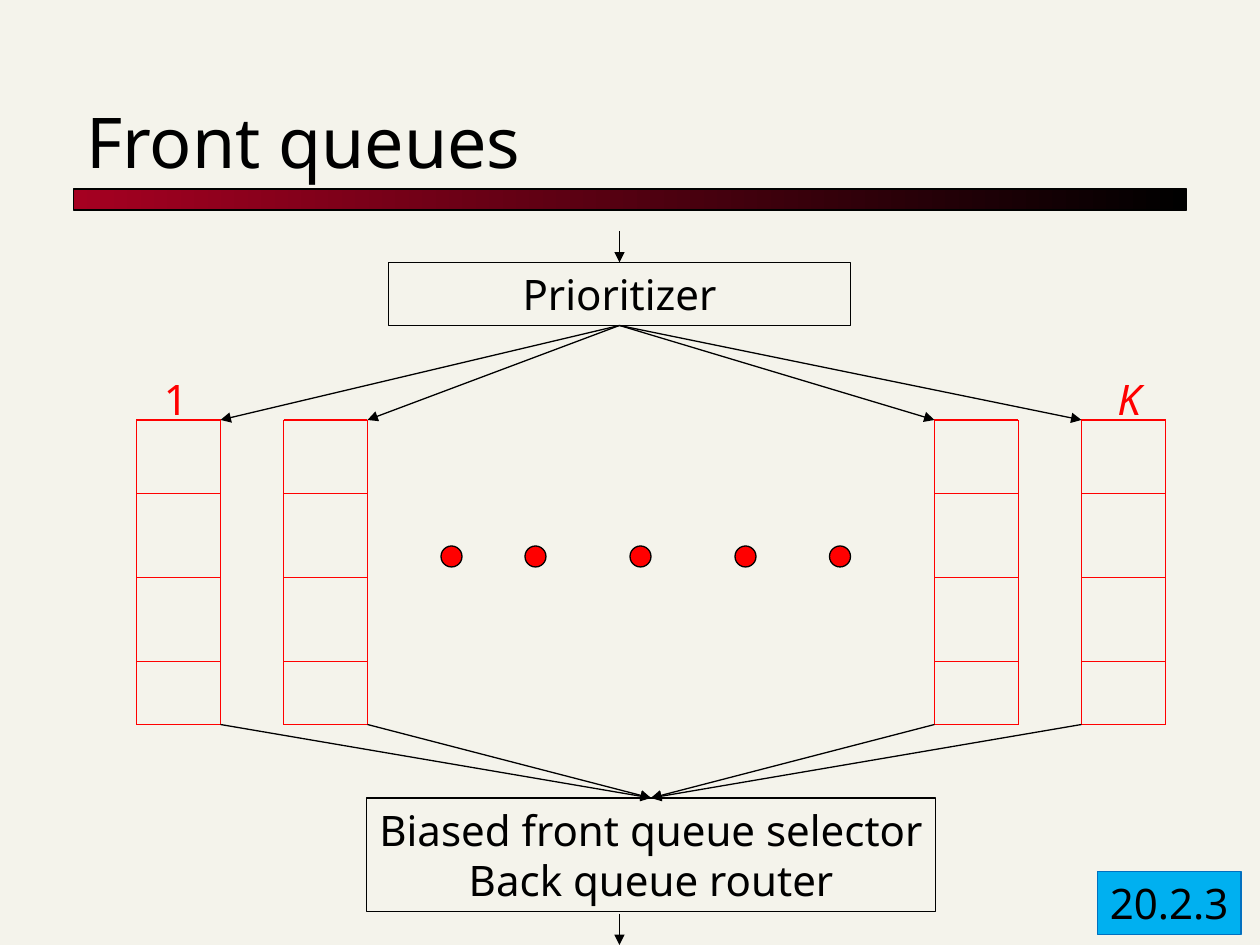
from lxml.etree import SubElement
from pptx import Presentation
from pptx.dml.color import RGBColor
from pptx.enum.shapes import MSO_CONNECTOR as Link, MSO_SHAPE as Shape
from pptx.enum.text import MSO_ANCHOR as Anchor, MSO_AUTO_SIZE as AutoSize, PP_ALIGN as Align
from pptx.oxml.ns import qn
from pptx.util import Emu, Pt

PX = 7620  # EMU per px, 120 px to the inch
FONT = "Noto Sans"
COLORS = {
    "paper": "F4F3EB",
    "ink": "000000",
    "crimson": "A50021",
    "queue": "FF0000",
    "tag": "00B0F0",
    "tag_edge": "0070C0",
}


def px(*lengths):
    return [Emu(n * PX) for n in lengths]


def color(name):
    return RGBColor.from_string(COLORS[name])


def write(frame, lines, size=24, ink="ink", align=Align.CENTER, anchor=Anchor.MIDDLE,
          italic=None, wrap=False):
    frame.auto_size = AutoSize.NONE
    frame.word_wrap = wrap
    frame.vertical_anchor = anchor
    frame.text = "\n".join(lines)
    for paragraph in frame.paragraphs:
        paragraph.alignment = align
        font = paragraph.font
        font.name, font.size, font.italic = FONT, Pt(size), italic
        font.color.rgb = color(ink)


def add_box(slide, box, fill=None, edge="ink", kind=Shape.RECTANGLE):
    shape = slide.shapes.add_shape(kind, *px(*box))
    shape.shadow.inherit = False
    if fill:
        shape.fill.solid()
        shape.fill.fore_color.rgb = color(fill)
    else:
        shape.fill.background()
    shape.line.color.rgb = color(edge)
    shape.line.width = Pt(0.75)
    return shape


def add_line(slide, start, end, ink="ink", arrow=False):
    line = slide.shapes.add_connector(Link.STRAIGHT, *px(*start, *end))
    line.line.color.rgb = color(ink)
    line.line.width = Pt(0.75)
    if arrow:
        SubElement(line.line._get_or_add_ln(), qn("a:tailEnd"), type="triangle")
    SubElement(line._element.spPr, qn("a:effectLst"))
    return line


def add_heading(slide, box, text, bar_height):
    """Title placeholder with a gradient bar along its lower edge."""
    left, top, width, height = box
    title = slide.shapes.title
    title.left, title.top, title.width, title.height = px(*box)
    write(title.text_frame, [text], size=40, align=Align.LEFT, anchor=Anchor.BOTTOM, wrap=True)
    bar = add_box(slide, (left, top + height, width, bar_height))
    bar.fill.gradient()
    bar.fill.gradient_angle = 0
    for stop, name in zip(bar.fill.gradient_stops, ("crimson", "ink")):
        stop.color.rgb = color(name)


def add_stage(slide, box, lines):
    stage = add_box(slide, box)
    write(stage.text_frame, lines)
    return stage


def add_queue(slide, box, row_offsets):
    left, top, width, height = box
    right, bottom = left + width, top + height
    for x in (left, right):
        add_line(slide, (x, top), (x, bottom), "queue")
    for offset in (0, *row_offsets, height):
        add_line(slide, (left, top + offset), (right, top + offset), "queue")


def add_queue_label(slide, box, text, italic=None):
    label = slide.shapes.add_textbox(*px(*box))
    write(label.text_frame, [text], ink="queue", italic=italic)


def add_dots(slide, box, offsets):
    left, top, size = box
    for offset in offsets:
        add_box(slide, (left + offset, top, size, size), "queue", kind=Shape.OVAL)


def add_queue_bank(slide, box, prioritizer, selector):
    """Four queues, the dots between them, and the arrows in from and out to the stages."""
    left, top, width, height = box
    queue_width, step = 80, 140
    last = width - queue_width
    middle = left + width / 2
    for offset in (0, step, last - step, last):
        x = left + offset
        add_queue(slide, (x, top, queue_width, height), (70, 150, 230))
        inner = x + queue_width if x < middle else x
        entry = add_line(slide, (590, 310), (inner, top), arrow=True)
        entry.begin_connect(prioritizer, 2)
        leaving = add_line(slide, (inner, top + height), (620, 760), arrow=True)
        leaving.end_connect(selector, 0)
    add_dots(slide, (left + 290, top + 120, 20), (0, 80, 180, 280, 370))
    add_queue_label(slide, (left + 14, top - 50, 47, 60), "1")
    add_queue_label(slide, (left + last + 22, top - 50, 47, 60), "K", italic=True)


def add_section_tag(slide, box, text):
    tag = add_box(slide, box, "tag", "tag_edge")
    write(tag.text_frame, [text])


def main():
    deck = Presentation()
    deck.slide_width, deck.slide_height = px(1200, 900)
    slide = deck.slides.add_slide(deck.slide_layouts[5])
    slide.background.fill.solid()
    slide.background.fill.fore_color.rgb = color("paper")

    add_heading(slide, (70, 50, 1060, 130), "Front queues", 20)
    prioritizer = add_stage(slide, (370, 250, 440, 60), ["Prioritizer"])
    selector = add_stage(slide, (349, 760, 542, 108),
                         ["Biased front queue selector", "Back queue router"])
    inflow = add_line(slide, (590, 220), (590, 250), arrow=True)
    inflow.end_connect(prioritizer, 0)
    add_queue_bank(slide, (130, 400, 980, 290), prioritizer, selector)
    add_line(slide, (590, 870), (590, 900), arrow=True)
    add_section_tag(slide, (1045, 830, 137, 60), "20.2.3")
    deck.save("out.pptx")


if __name__ == "__main__":
    main()
